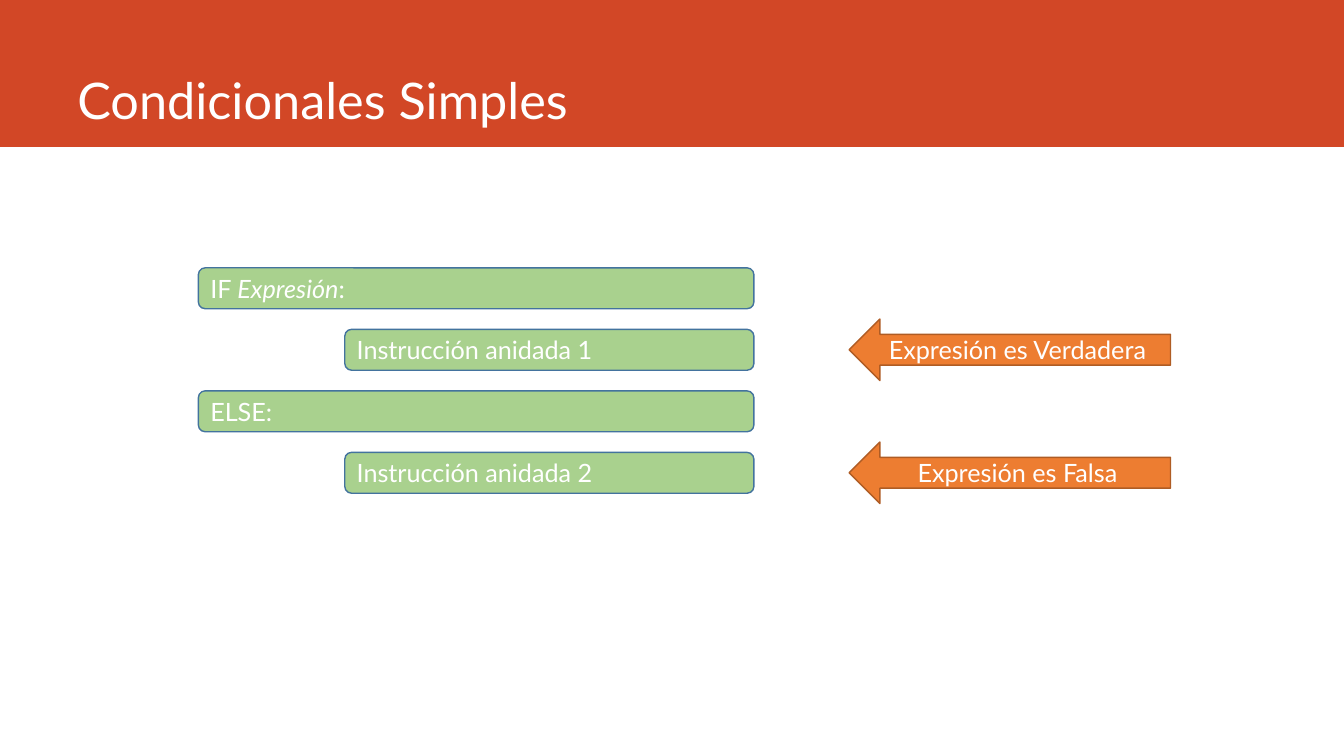
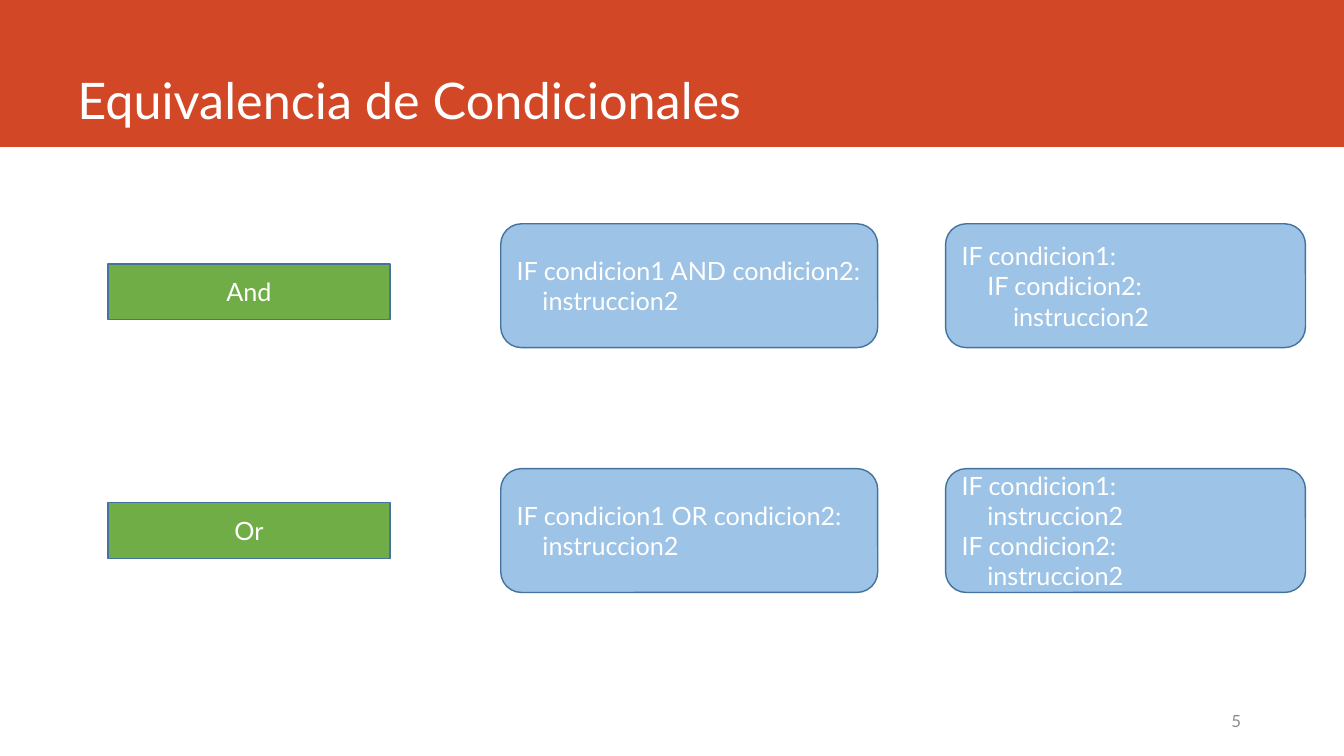
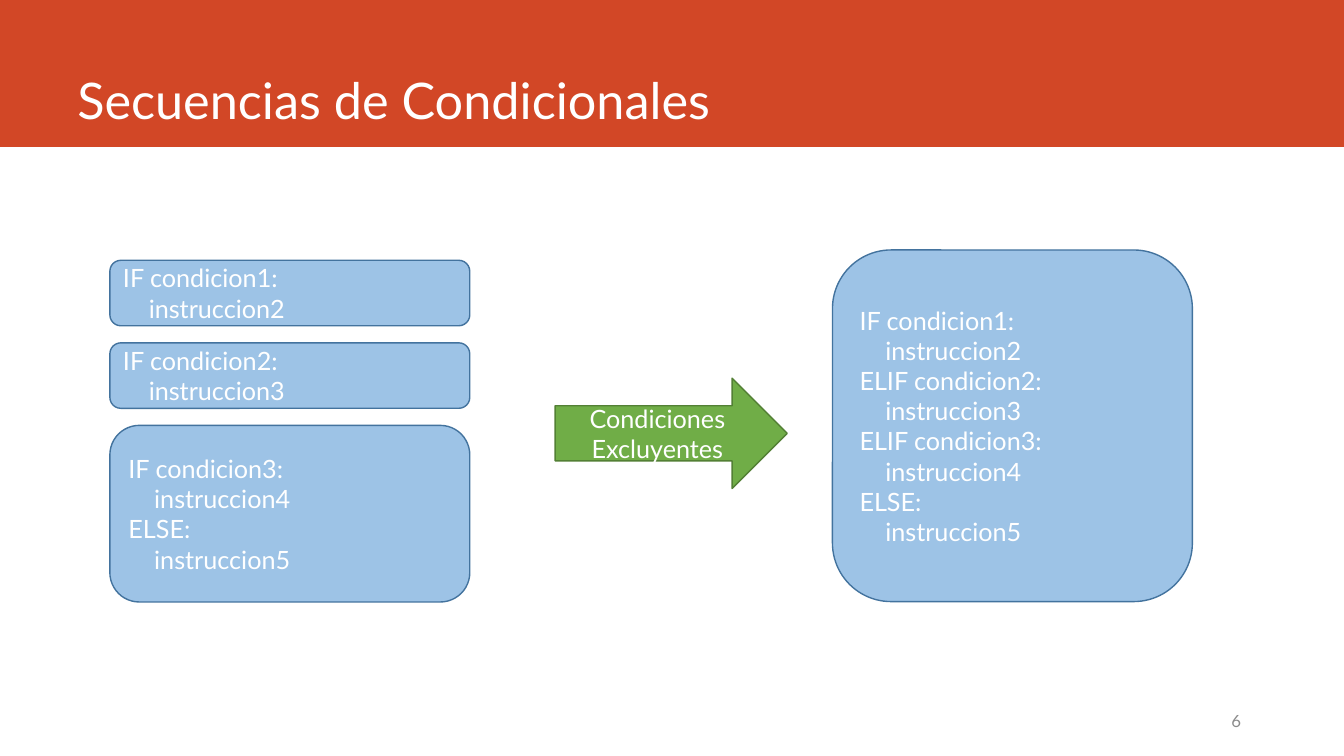
import pptx
import pptx.dml.color
import pptx.enum.shapes
import pptx.enum.text
import pptx.util
from pptx.util import Cm

SHAPE = pptx.enum.shapes.MSO_SHAPE
ALIGN = pptx.enum.text.PP_ALIGN
ANCHOR = pptx.enum.text.MSO_ANCHOR

FONT = "Lato"
WHITE = "FFFFFF"
RED = "D24726"
ORANGE, ORANGE_EDGE = "ED7D31", "AF5C24"
GREEN, GREEN_EDGE = "70AD47", "538035"
LIGHT_GREEN = "A9D18E"
BLUE, BLUE_EDGE = "9DC3E6", "43739E"
GREY = "8C8C8C"

SLIDE_W, SLIDE_H = 33.87, 19.05
INDENT = 0.65


def paint(color_format, value):
    """Give a fill or a font the colour written as a hex string."""
    color_format.rgb = pptx.dml.color.RGBColor.from_string(value)


def write(sp, text, size=18, color=WHITE, align=ALIGN.LEFT, anchor=ANCHOR.MIDDLE):
    """Write one paragraph a line; leading tabs indent, asterisks mark italics."""
    tf = sp.text_frame
    tf.word_wrap = True
    tf.vertical_anchor = anchor
    for i, line in enumerate(text.split("\n")):
        p = tf.paragraphs[0] if i == 0 else tf.add_paragraph()
        p.alignment = align
        code = line.lstrip("\t")
        level = len(line) - len(code)
        if level:
            p._p.get_or_add_pPr().set("marL", str(Cm(INDENT * level)))
        for j, part in enumerate(code.split("*")):
            r = p.add_run()
            r.text = part
            r.font.name = FONT
            r.font.size = pptx.util.Pt(size)
            r.font.italic = j % 2 == 1
            paint(r.font.color, color)


def add_box(s, kind, x, y, w, h, fill, edge=None):
    sp = s.shapes.add_shape(kind, Cm(x), Cm(y), Cm(w), Cm(h))
    sp.shadow.inherit = False
    sp.fill.solid()
    paint(sp.fill.fore_color, fill)
    if edge:
        sp.line.width = pptx.util.Pt(1)
        paint(sp.line.color, edge)
    else:
        sp.line.fill.background()
    return sp


def add_label(s, kind, x, y, w, h, text, fill, edge):
    write(add_box(s, kind, x, y, w, h, fill, edge), text, align=ALIGN.CENTER)


def add_code(s, x, y, w, h, text, fill=BLUE):
    write(add_box(s, SHAPE.ROUNDED_RECTANGLE, x, y, w, h, fill, BLUE_EDGE), text)


def add_slide(prs, title, number=None):
    """Add a slide with the title band and, if given, its number."""
    s = prs.slides.add_slide(prs.slide_layouts[6])
    add_box(s, SHAPE.RECTANGLE, 0, 0, SLIDE_W, 3.7, RED)
    sp = s.shapes.add_textbox(Cm(1.7), Cm(0), Cm(29.85), Cm(3.4))
    write(sp, title, size=36, anchor=ANCHOR.BOTTOM)
    if number:
        sp = s.shapes.add_textbox(Cm(22.43), Cm(17.65), Cm(9.1), Cm(1.02))
        write(sp, number, size=12, color=GREY, align=ALIGN.RIGHT)
    return s


def add_if_else(s, x, y, w):
    """Stack the four lines of the conditional, with an arrow at each nested one."""
    pitch, h, nesting = 1.55, 1.03, 3.69
    lines = [
        ("IF *Expresión*:", None),
        ("Instrucción anidada 1", "Expresión es Verdadera"),
        ("ELSE:", None),
        ("Instrucción anidada 2", "Expresión es Falsa"),
    ]
    for i, (code, case) in enumerate(lines):
        top = y + i * pitch
        shift = nesting if case else 0
        add_code(s, x + shift, top, w - shift, h, code, LIGHT_GREEN)
        if case:
            add_label(s, SHAPE.LEFT_ARROW, x + w + 2.4, top + (h - pitch) / 2,
                      8.1, pitch, case, ORANGE, ORANGE_EDGE)


def add_equivalence(s, x, y, operator, label_shift, joined, split):
    """Place an operator and its two equivalent conditionals in one row."""
    h = 3.12
    add_label(s, SHAPE.RECTANGLE, x, y + label_shift, 7.11, 1.4,
              operator, GREEN, BLUE_EDGE)
    add_code(s, x + 9.9, y, 9.5, h, joined)
    add_code(s, x + 21.11, y, 9.07, h, split)


def add_sequence(s, x, y, w):
    """Stack the separate conditionals from top to bottom."""
    blocks = [
        (1.65, "IF condicion1:\n\tinstruccion2"),
        (1.65, "IF condicion2:\n\tinstruccion3"),
        (4.45, "IF condicion3:\n\tinstruccion4\nELSE:\n\tinstruccion5"),
    ]
    for h, code in blocks:
        add_code(s, x, y, w, h, code)
        y += h + 0.43


def main():
    prs = pptx.Presentation()
    prs.slide_width, prs.slide_height = Cm(SLIDE_W), Cm(SLIDE_H)

    s = add_slide(prs, "Condicionales Simples")
    add_if_else(s, 5, 6.75, 14)

    s = add_slide(prs, "Equivalencia de Condicionales", "5")
    add_equivalence(s, 2.72, 5.64, "And", 1.01,
                    "IF condicion1 AND condicion2:\n\tinstruccion2",
                    "IF condicion1:\n\tIF condicion2:\n\t\tinstruccion2")
    add_equivalence(s, 2.72, 11.81, "Or", 0.86,
                    "IF condicion1 OR condicion2:\n\tinstruccion2",
                    "IF condicion1:\n\tinstruccion2\nIF condicion2:\n\tinstruccion2")

    s = add_slide(prs, "Secuencias de Condicionales", "6")
    add_sequence(s, 2.77, 6.56, 9.07)
    add_label(s, SHAPE.RIGHT_ARROW, 13.99, 9.53, 5.85, 2.78,
              "Condiciones Excluyentes", GREEN, GREEN_EDGE)
    add_code(s, 20.98, 6.3, 9.07, 8.86,
             "IF condicion1:\n\tinstruccion2\nELIF condicion2:\n\tinstruccion3\n"
             "ELIF condicion3:\n\tinstruccion4\nELSE:\n\tinstruccion5")

    prs.save("out.pptx")


if __name__ == "__main__":
    main()
